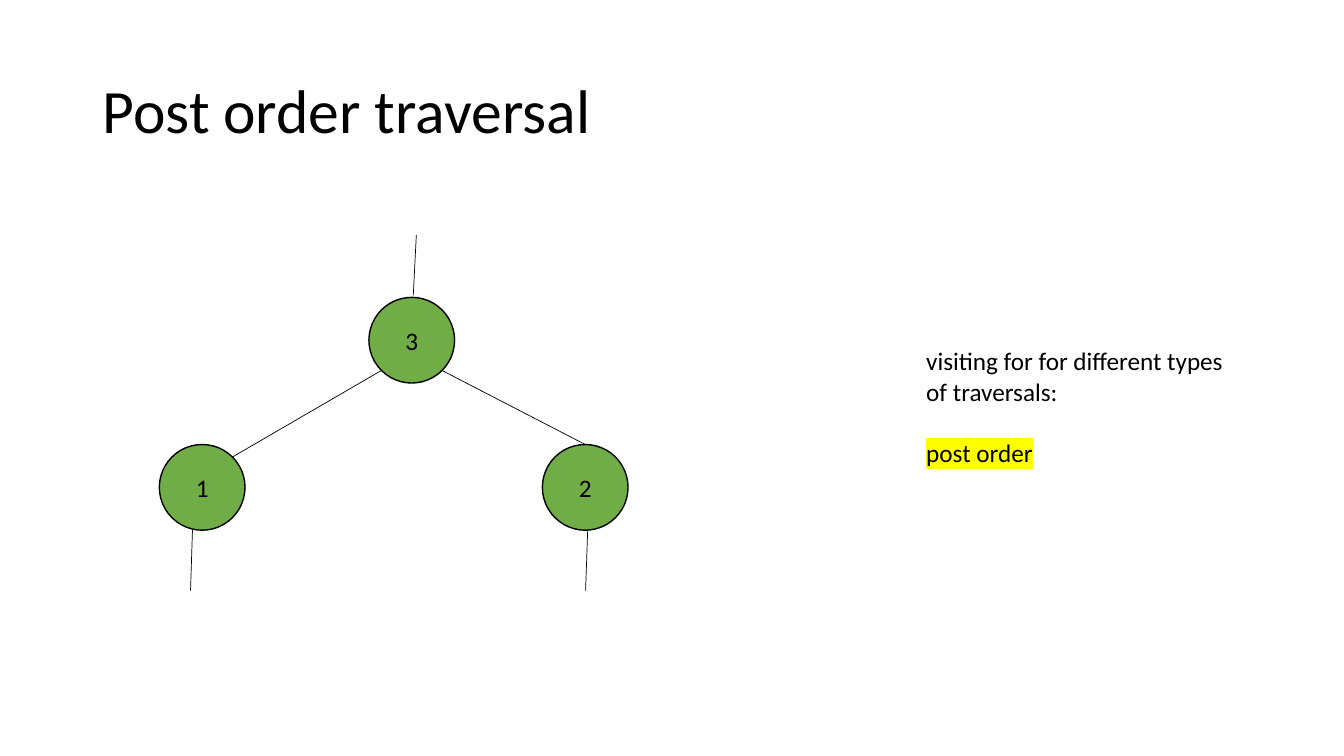
from math import cos, radians, sin

from lxml.etree import SubElement
from pptx import Presentation
from pptx.dml.color import RGBColor
from pptx.enum.shapes import MSO_CONNECTOR, MSO_SHAPE
from pptx.enum.text import MSO_ANCHOR, MSO_AUTO_SIZE, PP_ALIGN
from pptx.oxml.ns import qn
from pptx.util import Pt

TITLE = "Post order traversal"
NODES = {"3": (294.1, 243), "1": (144.4, 348.1), "2": (418, 348.1)}
EDGES = [("3", 135, "1", -45), ("3", 45, "2", -90)]
STUBS = [(297.4, 167.8, 295.2), (137.5, 378.7, 136.1), (419.8, 378.7, 418.3)]
NOTES = [
    ("visiting for for different types", 0, None),
    ("of traversals:", 0, None),
    ("post order", 22, "FFFF00"),
]
RADIUS = 30.6
STUB_HEIGHT = 43.2
BLACK, GREEN = "000000", "70AD47"


def color(value):
    return RGBColor.from_string(value)


def add_span(para, text, size):
    span = para.add_run()
    span.text = text
    span.font.name = "Calibri"
    span.font.size = Pt(size)
    span.font.color.rgb = color(BLACK)
    return span


def add_highlight(span, value):
    properties = span.font._element
    highlight = SubElement(properties, qn("a:highlight"))
    SubElement(highlight, qn("a:srgbClr"), val=value)
    properties.find(qn("a:solidFill")).addnext(highlight)


def add_title(slide):
    box = slide.shapes.title
    box.left, box.top, box.width, box.height = Pt(66), Pt(28.8), Pt(828), Pt(104.4)
    frame = box.text_frame
    frame.vertical_anchor = MSO_ANCHOR.MIDDLE
    para = frame.paragraphs[0]
    para.alignment = PP_ALIGN.LEFT
    para.line_spacing = 0.9
    add_span(para, TITLE, 44)


def add_node(slide, label, center):
    left, top = (Pt(value - RADIUS) for value in center)
    node = slide.shapes.add_shape(MSO_SHAPE.OVAL, left, top, Pt(2 * RADIUS), Pt(2 * RADIUS))
    node.shadow.inherit = False
    node.fill.solid()
    node.fill.fore_color.rgb = color(GREEN)
    node.line.color.rgb = color(BLACK)
    node.line.width = Pt(1)
    node.text_frame.vertical_anchor = MSO_ANCHOR.MIDDLE
    para = node.text_frame.paragraphs[0]
    para.alignment = PP_ALIGN.CENTER
    add_span(para, label, 18)


def rim_point(label, angle):
    x, y = NODES[label]
    return x + RADIUS * cos(radians(angle)), y + RADIUS * sin(radians(angle))


def add_line(slide, start, end):
    points = [Pt(value) for value in (*start, *end)]
    line = slide.shapes.add_connector(MSO_CONNECTOR.STRAIGHT, *points)
    line.line.color.rgb = color(BLACK)
    line.line.width = Pt(0.5)
    SubElement(line._element.spPr, qn("a:effectLst"))


def add_notes(slide):
    box = slide.shapes.add_textbox(Pt(654.5), Pt(243.4), Pt(229.7), Pt(94.3))
    frame = box.text_frame
    frame.word_wrap = False
    frame.auto_size = MSO_AUTO_SIZE.SHAPE_TO_FIT_TEXT
    for index, (text, gap, highlight) in enumerate(NOTES):
        para = frame.add_paragraph() if index else frame.paragraphs[0]
        if gap:
            para.space_before = Pt(gap)
        span = add_span(para, text, 18)
        if highlight:
            add_highlight(span, highlight)


def main():
    deck = Presentation()
    deck.slide_width, deck.slide_height = Pt(960), Pt(540)
    page = deck.slides.add_slide(deck.slide_layouts[5])
    add_title(page)
    for label, center in NODES.items():
        add_node(page, label, center)
    for parent, parent_angle, child, child_angle in EDGES:
        add_line(page, rim_point(parent, parent_angle), rim_point(child, child_angle))
    for top_x, top, bottom_x in STUBS:
        add_line(page, (top_x, top), (bottom_x, top + STUB_HEIGHT))
    add_notes(page)
    deck.save("out.pptx")


if __name__ == "__main__":
    main()
